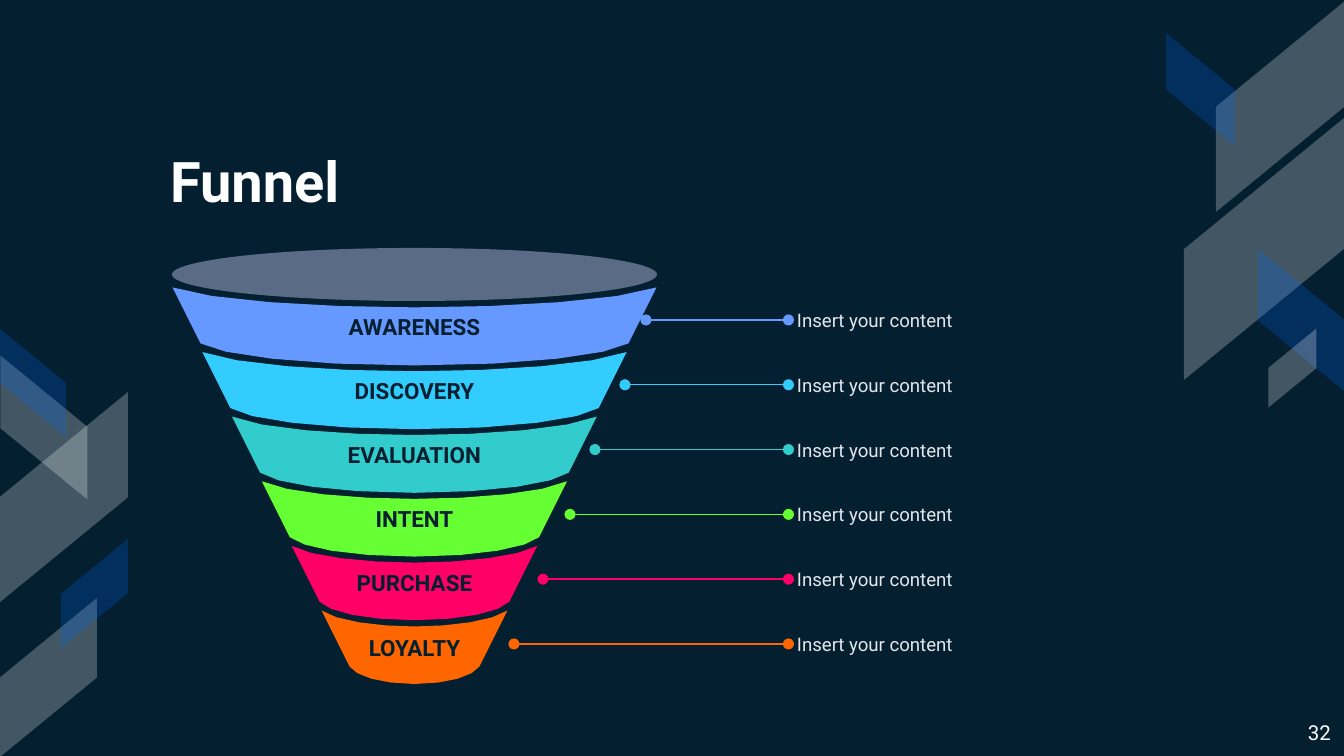
from pptx import Presentation
from pptx import util as u
from pptx.dml.color import RGBColor
from pptx.enum import shapes, text
from pptx.oxml.ns import qn
from pptx.oxml.xmlchemy import OxmlElement

SCALE = 914400 / 134.4
NAVY, WHITE, BLUE = "041F30", "FFFFFF", "0066FF"
CENTER = 414.5

DECOR = [
    (1175, 42, 211, 129, WHITE, True),
    (1133, 169, 262, 160, WHITE, True),
    (1230, 277, 142, 86, BLUE, False),
    (1144, 55, 113, 69, BLUE, False),
    (1253, 344, 79, 48, WHITE, True),
    (-42, 433, 211, 129, WHITE, True),
    (-28, 384, 144, 87, WHITE, False),
    (-31, 629, 159, 97, WHITE, True),
    (-22, 349, 109, 67, BLUE, False),
    (40, 560, 109, 67, BLUE, True),
]

STAGES = [
    ("AWARENESS", "6699FF", 646),
    ("DISCOVERY", "33CCFF", 625),
    ("EVALUATION", "33CCCC", 595),
    ("INTENT", "66FF33", 570),
    ("PURCHASE", "FF0066", 543),
    ("LOYALTY", "FF6600", 514),
]


def px(n):
    return u.Emu(round(n * SCALE))


def rgb(c):
    return RGBColor.from_string(c)


def paint(sp, color, alpha=None):
    sp.shadow.inherit = False
    sp.fill.solid()
    sp.fill.fore_color.rgb = rgb(color)
    sp.line.fill.background()
    if alpha:
        a = OxmlElement("a:alpha")
        a.set("val", str(alpha * 1000))
        sp.element.spPr.find(".//" + qn("a:srgbClr")).append(a)


def write(sp, words, size, color, bold=False, align=text.PP_ALIGN.LEFT,
          anchor=text.MSO_ANCHOR.MIDDLE, inset=(0, 0)):
    tf = sp.text_frame
    tf.word_wrap = True
    tf.vertical_anchor = anchor
    tf.margin_left = tf.margin_right = px(inset[0])
    tf.margin_top = tf.margin_bottom = px(inset[1])
    p = tf.paragraphs[0]
    p.alignment = align
    r = p.add_run()
    r.text = words
    r.font.name = "Roboto"
    r.font.size = u.Pt(size)
    r.font.bold = bold
    r.font.color.rgb = rgb(color)


def add_text(s, x, y, w, h, words, size, color, **style):
    sp = s.shapes.add_textbox(px(x), px(y), px(w), px(h))
    write(sp, words, size, color, **style)


def add_decor(s, x, y, w, h, color, flip):
    sp = s.shapes.add_shape(shapes.MSO_SHAPE.PARALLELOGRAM, px(x), px(y), px(w), px(h))
    sp.adjustments[0] = 0.819
    sp.rotation = 90 if flip else 270
    if flip:
        sp.element.spPr.find(qn("a:xfrm")).set("flipH", "1")
    paint(sp, color, 25 if color == WHITE else 23)


def arc(half, y, sag, shoulder, steps=4):
    (ax, ay), bx = shoulder
    left = []
    for i in range(steps + 1):
        t = i / steps
        m = 1 - t
        out = half * (m ** 3 + 3 * m * m * t * ax + 3 * m * t * t * bx)
        down = sag * (3 * m * m * t * ay + 3 * m * t * t + t ** 3)
        left.append((out, y + down))
    return ([(CENTER - o, d) for o, d in left]
            + [(CENTER + o, d) for o, d in reversed(left[:-1])])


def add_band(funnel, i, name, color):
    top = 287.5 + 64.6 * i
    half = 242 - 29.8 * i
    upper = arc(half, top, 20 - 0.8 * i, ((0.85, 0.64), 0.41))
    lower = arc(half - 28, top + 56, 22 - 0.9 * i, ((0.91, 0.53), 0.53))
    points = [(px(x), px(y)) for x, y in upper + lower[::-1]]
    fb = funnel.shapes.build_freeform(*points[0])
    fb.add_line_segments(points[1:], close=True)
    sp = fb.convert_to_shape()
    paint(sp, color)
    write(sp, name, 12, NAVY, bold=True, align=text.PP_ALIGN.CENTER, inset=(9, 5))


def add_leader(s, x1, x2, y, color):
    ln = s.shapes.add_connector(shapes.MSO_CONNECTOR.STRAIGHT, px(x1), px(y), px(x2), px(y))
    ln.line.color.rgb = rgb(color)
    ln.line.width = u.Pt(0.75)
    outline = ln.element.spPr.find(qn("a:ln"))
    for tag in ("a:headEnd", "a:tailEnd"):
        end = OxmlElement(tag)
        end.set("type", "oval")
        outline.append(end)
    ln.element.spPr.append(OxmlElement("a:effectLst"))


def main():
    prs = Presentation()
    prs.slide_width, prs.slide_height = px(1344), px(756)
    s = prs.slides.add_slide(prs.slide_layouts[6])
    s.background.fill.solid()
    s.background.fill.fore_color.rgb = rgb(NAVY)

    for decor in DECOR:
        add_decor(s, *decor)

    add_text(s, 157, 133, 878, 94, "Funnel", 30, WHITE, bold=True,
             anchor=text.MSO_ANCHOR.BOTTOM, inset=(13, 13))
    add_text(s, 1258, 708, 86, 48, "32", 11, WHITE, align=text.PP_ALIGN.RIGHT,
             anchor=text.MSO_ANCHOR.TOP, inset=(13, 14))

    funnel = s.shapes.add_group_shape()
    for i, (name, color, start) in enumerate(STAGES):
        add_band(funnel, i, name, color)
    rim = funnel.shapes.add_shape(shapes.MSO_SHAPE.OVAL, px(172), px(248), px(485), px(53))
    paint(rim, "5A6B85")

    for i, (name, color, start) in enumerate(STAGES):
        y = 320 + 64.8 * i
        add_leader(s, start, 788.5, y, color)
        add_text(s, 797, y - 23, 375, 46, "Insert your content", 10, "E3E7EC")

    prs.save("out.pptx")


main()
